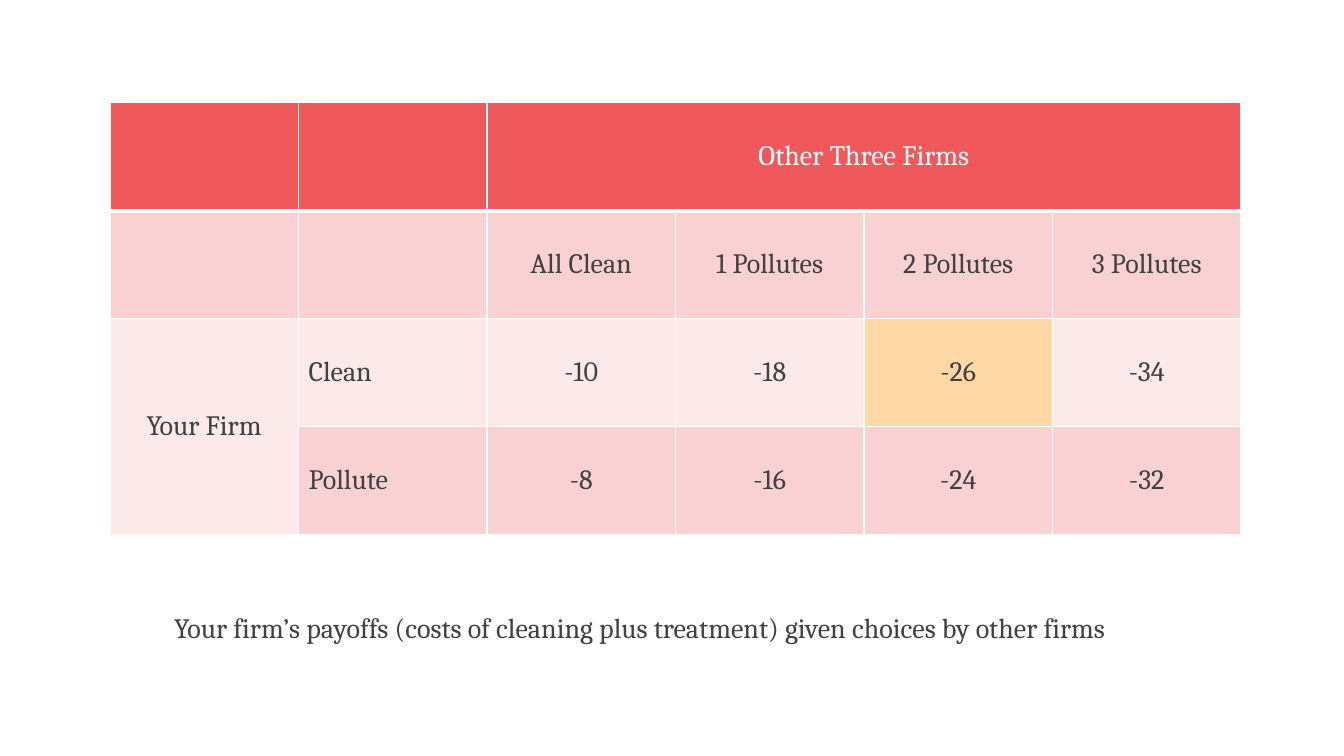
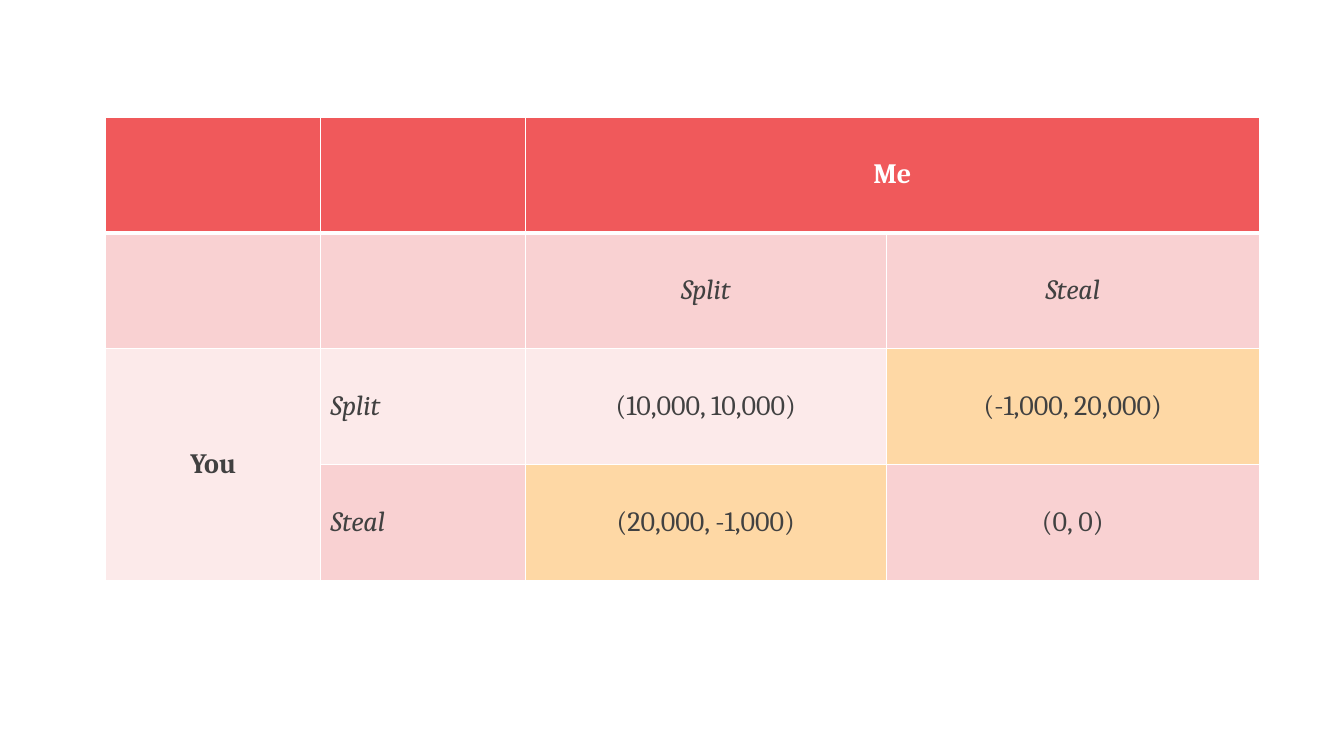
import pptx
import pptx.dml.color
import pptx.enum.text
import pptx.oxml
import pptx.oxml.ns
import pptx.util
from pptx.util import Inches

COLORS = {
    "header": "F0595B",
    "dark_band": "F9D1D2",
    "light_band": "FCEAEA",
    "highlight": "FED8A5",
    "text": "414141",
    "white": "FFFFFF",
}
ROW_FILLS = ["header", "dark_band", "light_band", "dark_band"]


def set_font(para, color, bold=False, italic=False):
    para.font.name = "Cambria"
    para.font.size = pptx.util.Pt(20)
    para.font.bold = bold
    para.font.italic = italic
    para.font.color.rgb = pptx.dml.color.RGBColor.from_string(COLORS[color])


def set_borders(cell, row):
    widths = {"L": 1, "R": 1, "T": 3 if row == 1 else 1, "B": 3 if row == 0 else 1}
    properties = cell._tc.get_or_add_tcPr()
    for side, points in widths.items():
        properties.append(pptx.oxml.parse_xml(
            f'<a:ln{side} {pptx.oxml.ns.nsdecls("a")} w="{pptx.util.Pt(points)}">'
            f'<a:solidFill><a:srgbClr val="{COLORS["white"]}"/></a:solidFill></a:ln{side}>'
        ))


games = [
    {
        "position": (1.09, 1.02),
        "columns": [1.87] * 6,
        "row_height": 1.07,
        "emphasis": False,
        "highlights": [(2, 4)],
        "rows": [
            ["", "", "Other Three Firms", "", "", ""],
            ["", "", "All Clean", "1 Pollutes", "2 Pollutes", "3 Pollutes"],
            ["Your Firm", "Clean", "-10", "-18", "-26", "-34"],
            ["", "Pollute", "-8", "-16", "-24", "-32"],
        ],
        "caption": "Your firm’s payoffs (costs of cleaning plus treatment) given choices by other firms",
    },
    {
        "position": (1.05, 1.16),
        "columns": [2.13, 2.03, 3.58, 3.7],
        "row_height": 1.15,
        "emphasis": True,
        "highlights": [(2, 3), (3, 2)],
        "rows": [
            ["", "", "Me", ""],
            ["", "", "Split", "Steal"],
            ["You", "Split", "(10,000, 10,000)", "(-1,000, 20,000)"],
            ["", "Steal", "(20,000, -1,000)", "(0, 0)"],
        ],
        "caption": None,
    },
]

deck = pptx.Presentation()
deck.slide_width = Inches(13.33)
deck.slide_height = Inches(7.5)

for game in games:
    page = deck.slides.add_slide(deck.slide_layouts[6])
    rows, columns = game["rows"], game["columns"]
    left, top = game["position"]
    table = page.shapes.add_table(
        len(rows), len(columns), Inches(left), Inches(top),
        Inches(sum(columns)), Inches(game["row_height"] * len(rows)),
    ).table
    table.horz_banding = False
    for column, width in zip(table.columns, columns):
        column.width = Inches(width)
    for table_row in table.rows:
        table_row.height = Inches(game["row_height"])

    for row, values in enumerate(rows):
        for column, value in enumerate(values):
            cell = table.cell(row, column)
            set_borders(cell, row)
            fill = "highlight" if (row, column) in game["highlights"] else ROW_FILLS[row]
            cell.fill.solid()
            cell.fill.fore_color.rgb = pptx.dml.color.RGBColor.from_string(COLORS[fill])
            cell.vertical_anchor = pptx.enum.text.MSO_ANCHOR.MIDDLE
            cell.text = value
            para = cell.text_frame.paragraphs[0]
            if column != 1:
                para.alignment = pptx.enum.text.PP_ALIGN.CENTER
            is_player = row == 0 or column == 0
            is_choice = not is_player and (row == 1 or column == 1)
            set_font(
                para, "white" if row == 0 else "text",
                bold=game["emphasis"] and is_player,
                italic=game["emphasis"] and is_choice,
            )
    table.cell(0, 2).merge(table.cell(0, len(columns) - 1))
    table.cell(2, 0).merge(table.cell(3, 0))

    if game["caption"]:
        box = page.shapes.add_textbox(Inches(1.63), Inches(6.01), Inches(10.34), Inches(0.44))
        box.text_frame.word_wrap = True
        box.text_frame.auto_size = pptx.enum.text.MSO_AUTO_SIZE.SHAPE_TO_FIT_TEXT
        box.text_frame.text = game["caption"]
        set_font(box.text_frame.paragraphs[0], "text")

deck.save("out.pptx")
